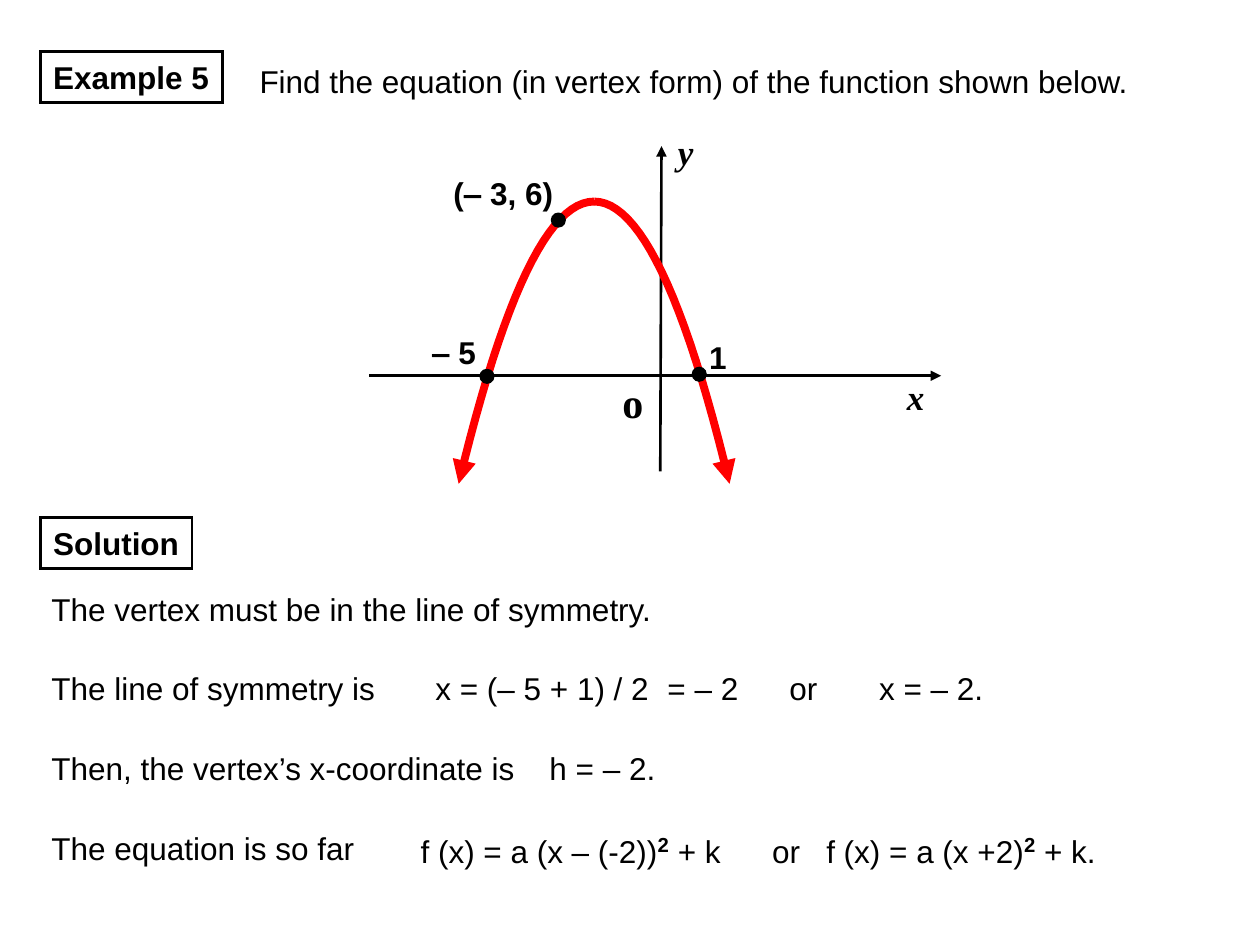
from lxml import etree
from pptx import Presentation
from pptx import util as u
from pptx.dml.color import RGBColor
from pptx.enum import shapes, text
from pptx.oxml import ns

BLACK = RGBColor(0, 0, 0)
RED = RGBColor(255, 0, 0)
SANS, SERIF = "Arial", "Times New Roman"

# Graph geometry in points
VERTEX_X, VERTEX_Y = 339.5, 115.2
ARM_WIDTH, ARM_HEIGHT = 77.4, 161.3
CURVE_STEPS = 24
DOT_SIZE = 7.9

# Solution lines in points
LINE_LEFT, LINE_TOP, LINE_PITCH = 22.3, 333.4, 45.6


def box_of(*lengths):
    return [u.Pt(length) for length in lengths]


def add_run(paragraph, wording, size=18, font=SANS, bold=False, italic=False, raised=False):
    run = paragraph.add_run()
    run.text = wording
    run.font.size = u.Pt(size)
    run.font.name = font
    run.font.bold = bold
    run.font.italic = italic
    run.font.color.rgb = BLACK
    if raised:
        run.font._element.set("baseline", "30000")


def set_tabs(paragraph, stops):
    tab_list = etree.SubElement(paragraph._p.get_or_add_pPr(), ns.qn("a:tabLst"))
    for stop in stops:
        etree.SubElement(tab_list, ns.qn("a:tab"), pos=str(u.Pt(stop)), algn="l")


def fill_title(slide, wording):
    title = slide.shapes.title
    title.left, title.top, title.width, title.height = box_of(141.1, 31.7, 511.2, 29)
    frame = title.text_frame
    frame.auto_size = text.MSO_AUTO_SIZE.NONE
    frame.vertical_anchor = text.MSO_ANCHOR.TOP
    frame.word_wrap = False
    paragraph = frame.paragraphs[0]
    paragraph.alignment = text.PP_ALIGN.LEFT
    add_run(paragraph, wording)


def add_label(slide, wording, left, top, width, height=29, stops=(), **style):
    shape = slide.shapes.add_textbox(*box_of(left, top, width, height))
    shape.text_frame.word_wrap = False
    paragraph = shape.text_frame.paragraphs[0]
    if stops:
        set_tabs(paragraph, stops)
    add_run(paragraph, wording, **style)
    return shape


def add_heading_box(slide, wording, top, width):
    shape = add_label(slide, wording, 23.3, top, width, bold=True)
    shape.text_frame.auto_size = text.MSO_AUTO_SIZE.SHAPE_TO_FIT_TEXT
    shape.line.color.rgb = BLACK
    shape.line.width = u.Pt(1.5)
    etree.SubElement(shape.line._get_or_add_ln(), ns.qn("a:miter"), lim="800000")


def add_formula(slide, before, after, left, width, stops=()):
    shape = add_label(slide, before, left, 469.8, width, 31.5, stops)
    paragraph = shape.text_frame.paragraphs[0]
    add_run(paragraph, "2", size=20, bold=True, raised=True)
    add_run(paragraph, after)


def style_arrow(shape, color, width):
    shape.line.color.rgb = color
    shape.line.width = u.Pt(width)
    line = shape.line._get_or_add_ln()
    etree.SubElement(line, ns.qn("a:tailEnd"), type="triangle")


def add_axis(slide, *ends):
    axis = slide.shapes.add_connector(shapes.MSO_CONNECTOR.STRAIGHT, *box_of(*ends))
    style_arrow(axis, BLACK, 1.5)
    etree.SubElement(axis._element.spPr, ns.qn("a:effectLst"))


def add_parabola_arm(slide, side):
    fractions = [step / CURVE_STEPS for step in range(CURVE_STEPS + 1)]
    points = [(u.Pt(VERTEX_X + side * ARM_WIDTH * fraction),
               u.Pt(VERTEX_Y + ARM_HEIGHT * fraction ** 2)) for fraction in fractions]
    builder = slide.shapes.build_freeform(*points[0])
    builder.add_line_segments(points[1:], close=False)
    arm = builder.convert_to_shape()
    arm.shadow.inherit = False
    arm.fill.background()
    style_arrow(arm, RED, 4.5)


def add_dot(slide, left, top):
    dot = slide.shapes.add_shape(
        shapes.MSO_SHAPE.OVAL, *box_of(left, top, DOT_SIZE, DOT_SIZE))
    dot.shadow.inherit = False
    dot.fill.solid()
    dot.fill.fore_color.rgb = BLACK
    dot.line.color.rgb = BLACK
    dot.line.width = u.Pt(0.75)


def add_graph(slide):
    # Axes and their names
    add_axis(slide, 211, 214.7, 537.8, 214.7)
    add_axis(slide, 377.3, 269.3, 378, 83.5)
    variable = dict(size=20, font=SERIF, bold=True, italic=True)
    add_label(slide, "x", 511.2, 211, 24.5, 31.5, **variable)
    add_label(slide, "y", 380.2, 71.3, 23, 31.5, **variable)
    add_label(slide, "o", 348.5, 211.7, 26, 36, size=24, font=SERIF, bold=True)

    # Parabola
    for side in (-1, 1):
        add_parabola_arm(slide, side)

    # Marked points
    for left, top in ((274.3, 211.1), (395.6, 209.9), (315.1, 121.8)):
        add_dot(slide, left, top)
    for wording, left, top, width in (("(‒ 3, 6)", 252, 95.8, 71.3),
                                      ("‒ 5", 239.8, 186.5, 39.6),
                                      ("1", 398.2, 189.4, 24.5)):
        add_label(slide, wording, left, top, width, bold=True)


def add_solution(slide):
    lines = (
        ("The vertex must be in the line of symmetry.", 360, ()),
        ("The line of symmetry is\tx = (‒ 5 + 1) / 2\t= ‒ 2\tor\tx = ‒ 2.", 560,
         (219.4, 352, 421.7, 473)),
        ("Then, the vertex’s x-coordinate is\th = ‒ 2.", 370, (284.6,)),
        ("The equation is so far", 190, ()),
    )
    for index, (wording, width, stops) in enumerate(lines):
        add_label(slide, wording, LINE_LEFT, LINE_TOP + index * LINE_PITCH, width,
                  stops=stops)
    add_formula(slide, "f (x) = a (x – (-2))", " + k", 233.3, 186)
    add_formula(slide, "or\tf (x) = a (x +2)", " + k.", 434.2, 200, (30.9,))


def main():
    presentation = Presentation()
    presentation.slide_width, presentation.slide_height = box_of(720, 540)
    slide = presentation.slides.add_slide(presentation.slide_layouts[5])

    # Question
    fill_title(slide, "Find the equation (in vertex form) of the function shown below.")
    add_heading_box(slide, "Example 5", 29.5, 104)
    add_graph(slide)

    # Solution
    add_heading_box(slide, "Solution", 295.7, 86.4)
    add_solution(slide)

    presentation.save("out.pptx")


if __name__ == "__main__":
    main()
